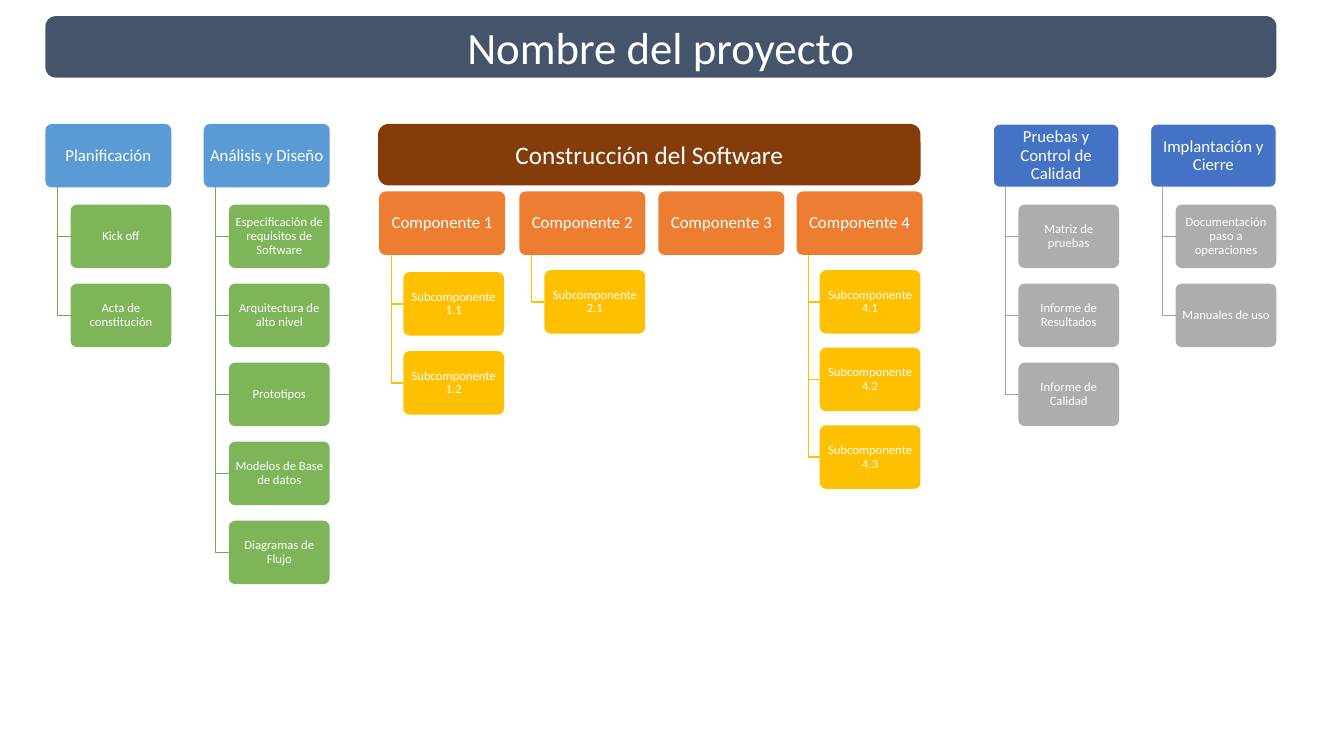
from dataclasses import dataclass

from lxml.etree import SubElement
from pptx import Presentation
from pptx.dml.color import RGBColor
from pptx.enum.shapes import MSO_SHAPE as Shape
from pptx.enum.text import MSO_ANCHOR as Anchor, PP_ALIGN as Align
from pptx.oxml.ns import qn
from pptx.util import Inches, Pt


@dataclass(frozen=True)
class Theme:
    font: str = "Calibri"
    white: str = "FFFFFF"
    title: str = "44546A"
    build: str = "843C0B"
    blue: str = "5B9BD5"
    green: str = "70AD47"
    orange: str = "ED7D31"
    gold: str = "FFC000"
    royal: str = "4472C4"
    gray: str = "A5A5A5"
    title_size: int = 32
    build_size: int = 18
    head_size: int = 12
    task_size: int = 9


THEME = Theme()

# Banners: text, (left, top, width, height), fill, type size
BANNERS = [
    ("Nombre del proyecto", (0.45, 0.16, 12.21, 0.61), THEME.title, THEME.title_size),
    ("Construcción del Software", (3.75, 1.23, 5.38, 0.61), THEME.build, THEME.build_size),
]

# Colours of each family of branches
START = dict(head_fill=THEME.blue, task_fill=THEME.green, opacity=90)
COMPONENT = dict(head_fill=THEME.orange, task_fill=THEME.gold)
CLOSING = dict(head_fill=THEME.royal, task_fill=THEME.gray, opacity=90, outline=THEME.white)

PHASE_TOP, COMPONENT_TOP = 1.23, 1.9

# Branches: head, left, top, tasks, format
BRANCHES = [
    ("Planificación", 0.45, PHASE_TOP, ["Kick off", "Acta de constitución"], START),
    ("Análisis y Diseño", 2.02, PHASE_TOP,
     ["Especificación de requisitos de Software", "Arquitectura de alto nivel",
      "Prototipos", "Modelos de Base de datos", "Diagramas de Flujo"], START),
    ("Componente 1", 3.76, COMPONENT_TOP,
     ["Subcomponente 1.1", "Subcomponente 1.2"], dict(COMPONENT, indent=0.24)),
    ("Componente 2", 5.15, COMPONENT_TOP,
     ["Subcomponente 2.1"], dict(COMPONENT, first_drop=0.78)),
    ("Componente 3", 6.53, COMPONENT_TOP, [], COMPONENT),
    ("Componente 4", 7.9, COMPONENT_TOP,
     ["Subcomponente 4.1", "Subcomponente 4.2", "Subcomponente 4.3"],
     dict(COMPONENT, indent=0.23, first_drop=0.78, step=0.77)),
    ("Pruebas y Control de Calidad", 9.85, PHASE_TOP,
     ["Matriz de pruebas", "Informe de Resultados", "Informe de Calidad"], CLOSING),
    ("Implantación y Cierre", 11.41, PHASE_TOP,
     ["Documentación paso a operaciones", "Manuales de uso"], CLOSING),
]

HEAD_WIDTH, TASK_WIDTH, BOX_HEIGHT = 1.25, 1, 0.63
SPINE_INDENT = 0.12


def color(code):
    return RGBColor.from_string(code)


def write(box, text, *, size, margins=(0.1, 0.05), spacing=1.0):
    frame = box.text_frame
    frame.word_wrap = True
    frame.vertical_anchor = Anchor.MIDDLE
    frame.margin_left = frame.margin_right = Inches(margins[0])
    frame.margin_top = frame.margin_bottom = Inches(margins[1])
    para = frame.paragraphs[0]
    para.alignment = Align.CENTER
    para.line_spacing = spacing
    span = para.add_run()
    span.text = text
    span.font.name = THEME.font
    span.font.size = Pt(size)
    span.font.color.rgb = color(THEME.white)


def add_box(page, text, place, *, fill, corner=0.1, opacity=100, outline=None, **text_format):
    box = page.shapes.add_shape(Shape.ROUNDED_RECTANGLE, *map(Inches, place))
    box.shadow.inherit = False
    box.adjustments[0] = corner
    box.fill.solid()
    box.fill.fore_color.rgb = color(fill)
    if opacity < 100:
        fill_color = box.fill._xPr.find(f"{qn('a:solidFill')}/{qn('a:srgbClr')}")
        SubElement(fill_color, qn("a:alpha"), val=str(opacity * 1000))
    if outline:
        box.line.color.rgb = color(outline)
        box.line.width = Pt(1)
    else:
        box.line.fill.background()
    write(box, text, **text_format)


def add_elbow(page, start, end, line_color):
    """Draw an open line that goes down from start, then right to end."""
    corner = (start[0], end[1])
    builder = page.shapes.build_freeform(*map(Inches, start))
    builder.add_line_segments([tuple(map(Inches, point)) for point in (corner, end)], close=False)
    elbow = builder.convert_to_shape()
    elbow.shadow.inherit = False
    elbow.fill.background()
    elbow.line.color.rgb = color(line_color)
    elbow.line.width = Pt(1)


def add_branch(page, head, left, top, tasks, *, head_fill, task_fill, opacity=100,
               outline=None, indent=0.25, first_drop=0.8, step=0.784):
    add_box(page, head, (left, top, HEAD_WIDTH, BOX_HEIGHT), fill=head_fill, outline=outline,
            size=THEME.head_size, margins=(0.03, 0.02), spacing=0.9)
    task_left = left + indent
    spine_start = (left + SPINE_INDENT, top + BOX_HEIGHT)
    for row, task in enumerate(tasks):
        task_top = top + first_drop + row * step
        add_elbow(page, spine_start, (task_left, task_top + BOX_HEIGHT / 2), task_fill)
        add_box(page, task, (task_left, task_top, TASK_WIDTH, BOX_HEIGHT), fill=task_fill,
                opacity=opacity, size=THEME.task_size, margins=(0.02, 0.01), spacing=0.9)


def main():
    deck = Presentation()
    deck.slide_width, deck.slide_height = Inches(13.33), Inches(7.5)
    page = deck.slides.add_slide(deck.slide_layouts[6])
    for head, left, top, tasks, branch_format in BRANCHES:
        add_branch(page, head, left, top, tasks, **branch_format)
    for text, place, fill, size in BANNERS:
        add_box(page, text, place, fill=fill, corner=0.17, size=size)
    deck.save("out.pptx")


if __name__ == "__main__":
    main()
